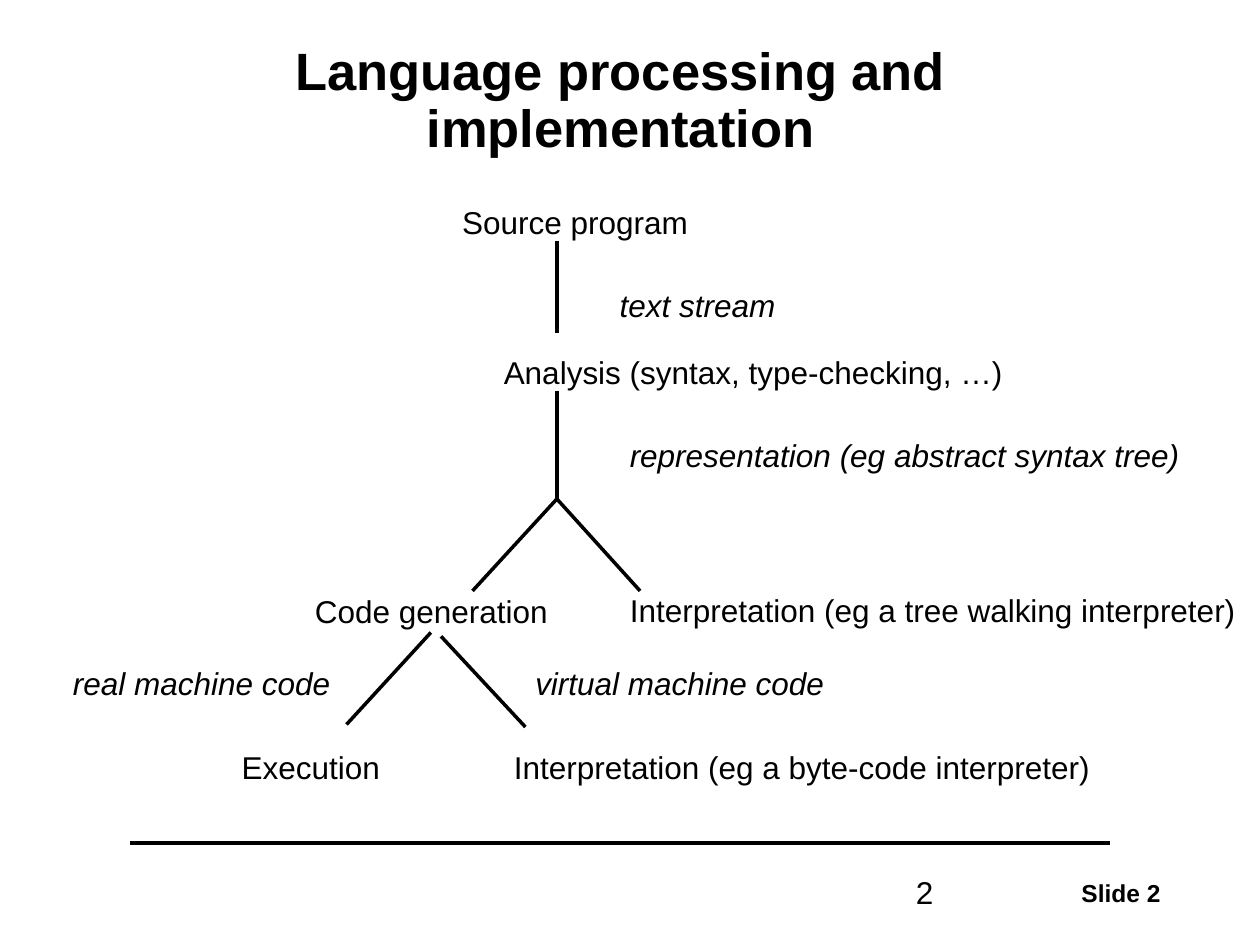
import pptx
import pptx.dml.color
import pptx.enum.shapes
import pptx.enum.text
import pptx.oxml.ns
import pptx.util
from lxml import etree

Inches = pptx.util.Inches
Pt = pptx.util.Pt
ALIGN = pptx.enum.text.PP_ALIGN
ANCHOR = pptx.enum.text.MSO_ANCHOR
AUTO = pptx.enum.text.MSO_AUTO_SIZE
COLORS = {"ink": "000000", "paper": "FFFFFF"}
INK = pptx.dml.color.RGBColor.from_string(COLORS["ink"])

prs = pptx.Presentation()
prs.slide_width, prs.slide_height = Inches(10), Inches(7.5)
s = prs.slides.add_slide(prs.slide_layouts[5])
s.background.fill.solid()
s.background.fill.fore_color.rgb = pptx.dml.color.RGBColor.from_string(COLORS["paper"])


def write(sp, text, frame, para, font):
    tf = sp.text_frame
    for name, value in frame.items():
        setattr(tf, name, value)
    p = tf.paragraphs[0]
    for name, value in para.items():
        setattr(p, name, value)
    r = p.add_run()
    r.text = text
    for name, value in {"name": "Arial", "size": Pt(18), **font}.items():
        setattr(r.font, name, value)
    r.font.color.rgb = INK


def add_line(x1, y1, x2, y2):
    sp = s.shapes.add_connector(pptx.enum.shapes.MSO_CONNECTOR.STRAIGHT,
                                Inches(x1), Inches(y1), Inches(x2), Inches(y2))
    sp.line.color.rgb = INK
    sp.line.width = Pt(2)
    etree.SubElement(sp._element.spPr, pptx.oxml.ns.qn("a:effectLst"))


title = s.shapes.title
title.left, title.top, title.width, title.height = [Inches(v) for v in (1.08, 0.33, 7.69, 0.96)]
write(title, "Language processing and implementation",
      {"vertical_anchor": ANCHOR.MIDDLE, "word_wrap": True, "auto_size": AUTO.NONE},
      {"alignment": ALIGN.CENTER, "line_spacing": 0.9},
      {"size": Pt(30), "bold": True})

footer_rule = (1.03, 6.69, 8.81, 6.69)
tree_lines = [
    (4.42, 1.91, 4.42, 2.64),
    (4.42, 3.1, 4.42, 3.96),
    (4.42, 3.96, 3.75, 4.69),
    (4.42, 3.96, 5.08, 4.69),
    (3.42, 5.02, 2.75, 5.75),
    (3.5, 5.05, 4.17, 5.77),
]
for ends in [footer_rule, *tree_lines]:
    add_line(*ends)

stages = [
    ("Source program", 3.57, 1.56, 1.99),
    ("Analysis (syntax, type-checking, …)", 3.9, 2.75, 4.16),
    ("Code generation", 2.4, 4.65, 2.05),
    ("Interpretation (eg a tree walking interpreter)", 4.9, 4.64, 5.01),
    ("Execution", 1.82, 5.89, 1.3),
    ("Interpretation (eg a byte-code interpreter)", 3.98, 5.89, 4.77),
]
products = [
    ("text stream", 4.82, 2.22, 1.44),
    ("representation (eg abstract syntax tree)", 4.9, 3.41, 4.57),
    ("virtual machine code", 4.15, 5.22, 2.5),
    ("real machine code", 0.48, 5.22, 2.25),
]
label_frame = {"word_wrap": False, "auto_size": AUTO.SHAPE_TO_FIT_TEXT}
for labels, font in [(stages, {}), (products, {"italic": True})]:
    for text, x, y, w in labels:
        sp = s.shapes.add_textbox(Inches(x), Inches(y), Inches(w), Inches(0.4))
        write(sp, text, label_frame, {"alignment": ALIGN.LEFT}, font)

sp = s.shapes.add_textbox(Inches(7.64), Inches(6.92), Inches(1.67), Inches(0.33))
write(sp, "Slide 2", label_frame, {"alignment": ALIGN.RIGHT}, {"size": Pt(14), "bold": True})

sp = s.shapes.add_textbox(Inches(7.17), Inches(6.83), Inches(2.08), Inches(0.5))
write(sp, "2", {"word_wrap": True, "vertical_anchor": ANCHOR.MIDDLE}, {"alignment": ALIGN.LEFT}, {})

prs.save("out.pptx")
